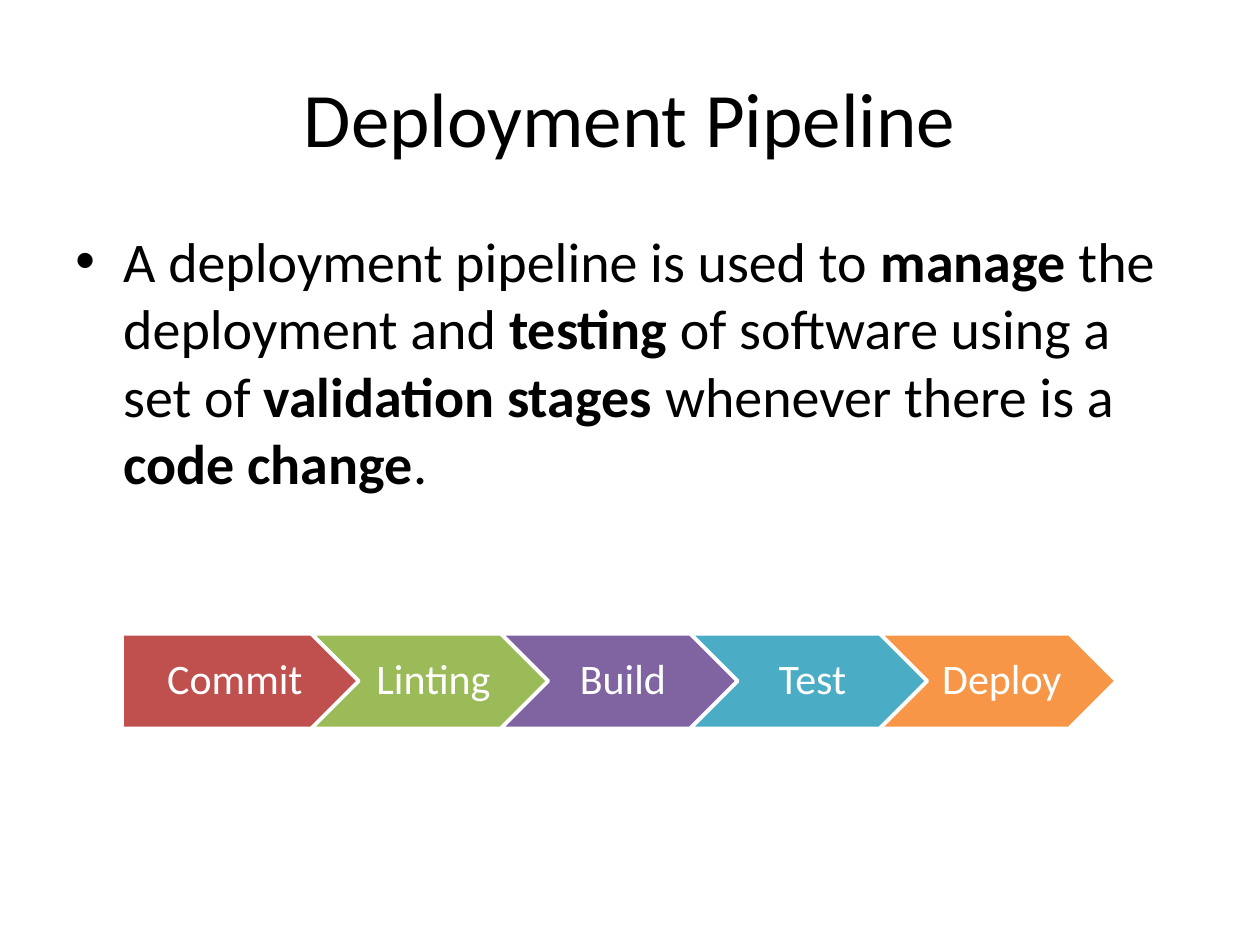
import lxml.etree
import pptx
import pptx.dml.color
import pptx.enum.shapes
import pptx.enum.text
import pptx.oxml.ns
import pptx.util

Inches = pptx.util.Inches
RGBColor = pptx.dml.color.RGBColor
MSO_SHAPE = pptx.enum.shapes.MSO_SHAPE
MSO_ANCHOR = pptx.enum.text.MSO_ANCHOR
PP_ALIGN = pptx.enum.text.PP_ALIGN

BLACK = RGBColor(0x00, 0x00, 0x00)
WHITE = RGBColor(0xFF, 0xFF, 0xFF)
RED = RGBColor(0xC0, 0x50, 0x4D)
GREEN = RGBColor(0x9B, 0xBB, 0x59)
PURPLE = RGBColor(0x80, 0x64, 0xA2)
TEAL = RGBColor(0x4B, 0xAC, 0xC6)
ORANGE = RGBColor(0xF7, 0x96, 0x46)

TITLE_FONT = {"name": "Calibri", "size": pptx.util.Pt(44)}
BODY_FONT = {"name": "Calibri", "size": pptx.util.Pt(32)}
STAGE_FONT = {"name": "Calibri", "size": pptx.util.Pt(24)}

DEFINITION = [
    ("A deployment pipeline is used to ", False),
    ("manage", True),
    (" the deployment and ", False),
    ("testing", True),
    (" of software using a set of ", False),
    ("validation stages ", True),
    ("whenever there is a ", False),
    ("code change", True),
    (".", False),
]
STAGES = [
    ("Commit", RED),
    ("Linting", GREEN),
    ("Build", PURPLE),
    ("Test", TEAL),
    ("Deploy", ORANGE),
]


def set_attributes(target, values):
    """Set each attribute of the target from a dict of format values."""
    for name, value in values.items():
        setattr(target, name, value)


def add_run(paragraph, text, font, color, bold=False):
    """Append one formatted run to a paragraph."""
    run = paragraph.add_run()
    run.text = text
    set_attributes(run.font, {**font, "bold": bold})
    run.font.color.rgb = color


def add_bullet(paragraph, indent):
    """Give a paragraph a round bullet with a hanging indent."""
    properties = paragraph._p.get_or_add_pPr()
    properties.set("marL", str(indent))
    properties.set("indent", str(-indent))
    for tag, name, value in (("a:buFont", "typeface", "Arial"), ("a:buChar", "char", "•")):
        element = lxml.etree.SubElement(properties, pptx.oxml.ns.qn(tag))
        element.set(name, value)


def add_title(slide, left, top, width, height):
    """Place the centred slide title in the given box."""
    frame = slide.shapes.add_textbox(left, top, width, height).text_frame
    set_attributes(frame, {"word_wrap": True, "vertical_anchor": MSO_ANCHOR.MIDDLE})
    paragraph = frame.paragraphs[0]
    paragraph.alignment = PP_ALIGN.CENTER
    add_run(paragraph, "Deployment Pipeline", TITLE_FONT, BLACK)


def add_definition(slide, left, top, width, height):
    """Place the bulleted definition in the given box."""
    frame = slide.shapes.add_textbox(left, top, width, height).text_frame
    frame.word_wrap = True
    paragraph = frame.paragraphs[0]
    paragraph.space_before = pptx.util.Pt(6.4)
    add_bullet(paragraph, Inches(0.38))
    for text, bold in DEFINITION:
        add_run(paragraph, text, BODY_FONT, BLACK, bold)


def add_pipeline(slide, left, top, width, height):
    """Spread overlapping stage arrows evenly across the given box."""
    stage_width = height * 2.5
    step = (width - stage_width) / (len(STAGES) - 1)
    for index, (label, color) in enumerate(STAGES):
        preset = MSO_SHAPE.CHEVRON if index else MSO_SHAPE.PENTAGON
        stage = slide.shapes.add_shape(
            preset, int(left + index * step), top, int(stage_width), height
        )
        stage.shadow.inherit = False
        stage.fill.solid()
        stage.fill.fore_color.rgb = color
        stage.line.color.rgb = WHITE
        stage.line.width = pptx.util.Pt(2)
        set_attributes(stage.text_frame, {
            "word_wrap": True,
            "vertical_anchor": MSO_ANCHOR.MIDDLE,
            "margin_left": Inches(0.1 if index else 0.14),
            "margin_right": Inches(0.04),
            "margin_top": Inches(0.07),
            "margin_bottom": Inches(0.07),
        })
        paragraph = stage.text_frame.paragraphs[0]
        set_attributes(paragraph, {"alignment": PP_ALIGN.CENTER, "line_spacing": 0.9})
        add_run(paragraph, label, STAGE_FONT, WHITE)


def main():
    """Build the deployment pipeline slide and save it."""
    presentation = pptx.Presentation()
    set_attributes(presentation, {"slide_width": Inches(10), "slide_height": Inches(7.5)})
    slide = presentation.slides.add_slide(presentation.slide_layouts[6])
    add_title(slide, Inches(0.5), Inches(0.3), Inches(9), Inches(1.25))
    add_definition(slide, Inches(0.5), Inches(1.75), Inches(9), Inches(4.95))
    add_pipeline(slide, Inches(0.97), Inches(5.03), Inches(7.89), Inches(0.75))
    presentation.save("out.pptx")


if __name__ == "__main__":
    main()
